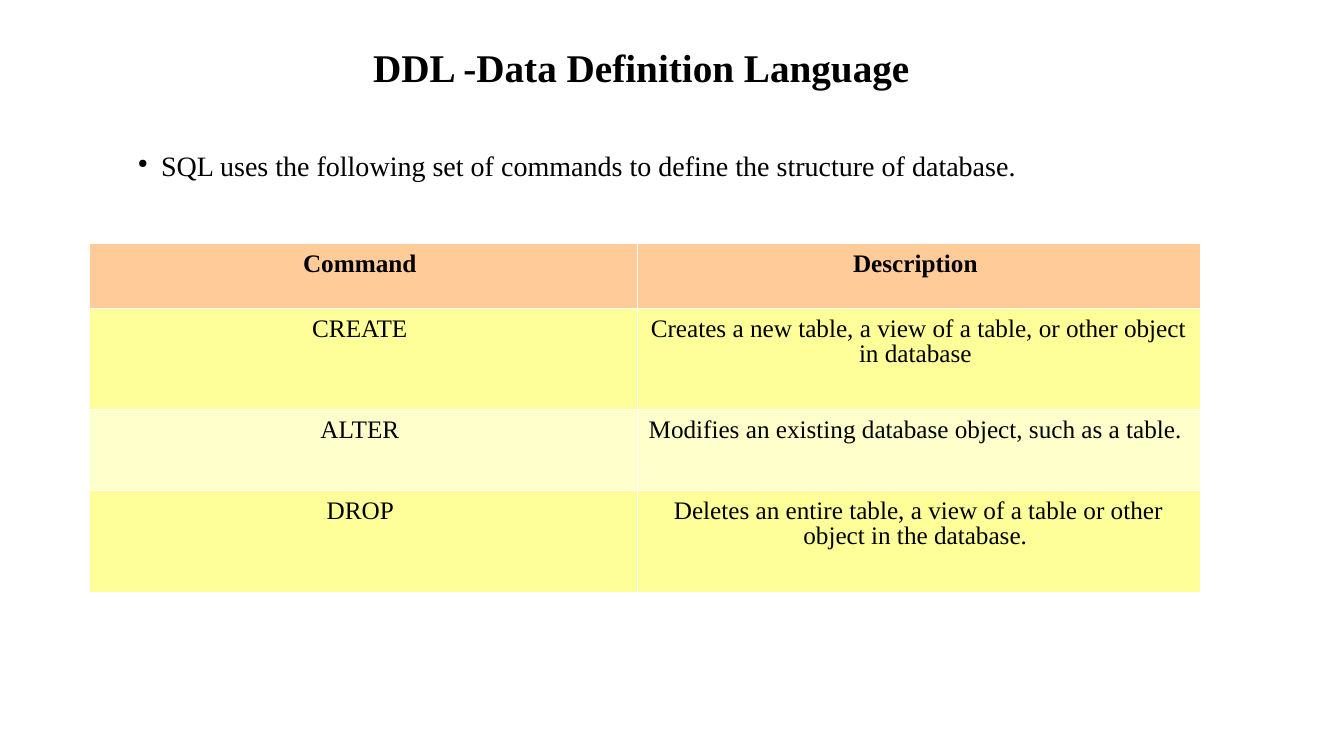
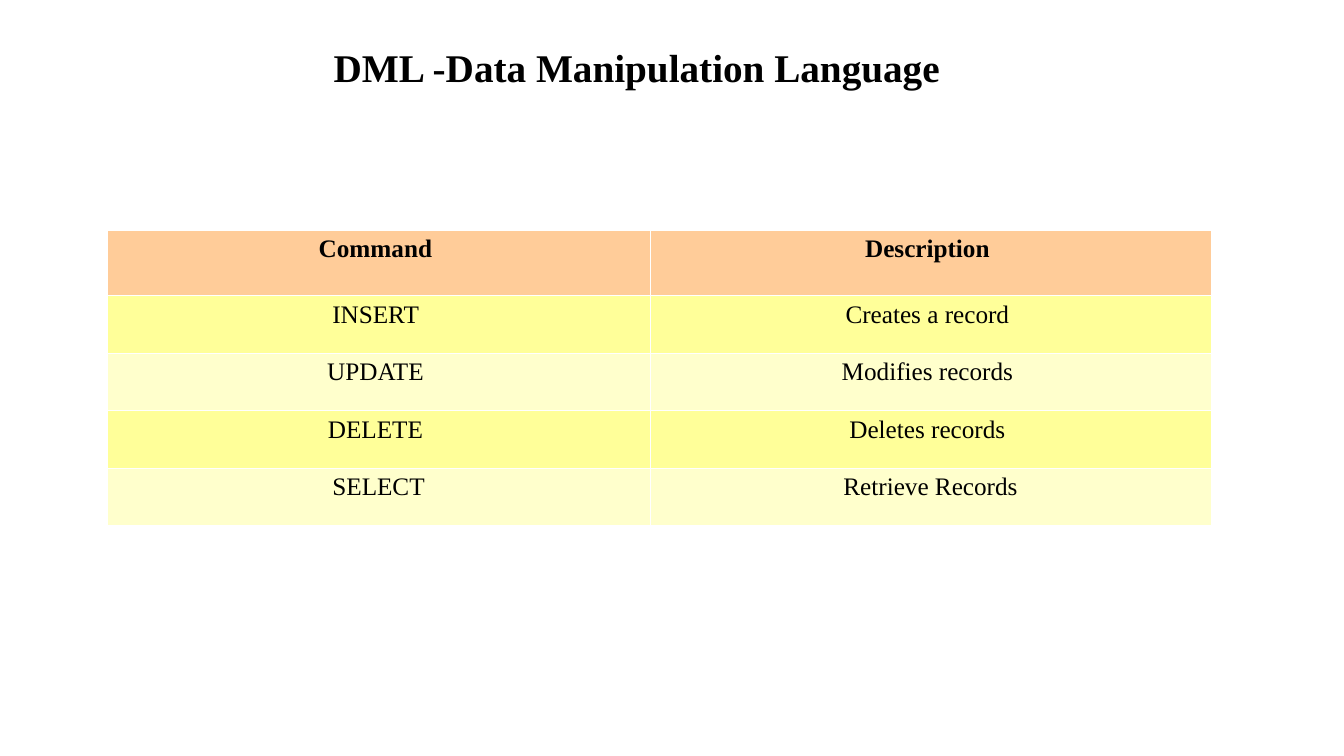
import pptx
import pptx.dml.color
import pptx.enum.text
import pptx.oxml
import pptx.oxml.ns
import pptx.util
from pptx.util import Inches

COLORS = {
    "text": "000000",
    "border": "FFFFFF",
    "header": "FFCC99",
    "odd": "FFFF99",
    "even": "FFFFCC",
}
FONT = "Times New Roman"
TITLE_FONT = {"name": FONT, "size": pptx.util.Pt(28), "bold": True}
BODY_FONT = {"name": FONT, "size": pptx.util.Pt(20), "bold": False}
HEADER_FONT = {"name": FONT, "size": pptx.util.Pt(18), "bold": True}
CELL_FONT = {**HEADER_FONT, "bold": False}

TITLE_FRAME = {
    "word_wrap": True,
    "auto_size": pptx.enum.text.MSO_AUTO_SIZE.NONE,
    "vertical_anchor": pptx.enum.text.MSO_ANCHOR.TOP,
}
LEFT_PARAGRAPH = {"alignment": pptx.enum.text.PP_ALIGN.LEFT}
CELL_PARAGRAPH = {
    "alignment": pptx.enum.text.PP_ALIGN.CENTER,
    "line_spacing": 0.9,
}
BULLET_PARAGRAPH = {
    **LEFT_PARAGRAPH,
    "space_before": pptx.util.Pt(5.9),
    "space_after": pptx.util.Pt(5.9),
}


def apply(target, values):
    for name, value in values.items():
        setattr(target, name, value)


def rgb(name):
    return pptx.dml.color.RGBColor.from_string(COLORS[name])


def append_xml(parent, xml):
    ns = pptx.oxml.ns.nsdecls("a")
    wrapper = pptx.oxml.parse_xml(f"<a:wrapper {ns}>{xml}</a:wrapper>")
    for element in list(wrapper):
        parent.append(element)


def write_text(tf, text, font, paragraph):
    p = tf.paragraphs[0]
    apply(p, paragraph)
    r = p.add_run()
    r.text = text
    apply(r.font, font)
    r.font.color.rgb = rgb("text")
    return p


def add_title(s, text, left, width):
    sp = s.shapes.title
    apply(sp, {"left": Inches(left), "top": Inches(0.38),
               "width": Inches(width), "height": Inches(0.9)})
    apply(sp.text_frame, TITLE_FRAME)
    write_text(sp.text_frame, text, TITLE_FONT, LEFT_PARAGRAPH)


def add_bullet(s, text, left, top, width, height):
    sp = s.shapes.add_textbox(*map(Inches, (left, top, width, height)))
    sp.text_frame.word_wrap = True
    p = write_text(sp.text_frame, text, BODY_FONT, BULLET_PARAGRAPH)
    pPr = p._p.get_or_add_pPr()
    pPr.set("marL", str(Inches(0.23)))
    pPr.set("indent", str(Inches(-0.23)))
    append_xml(pPr, f'<a:buClr><a:srgbClr val="{COLORS["text"]}"/></a:buClr>'
                    '<a:buSzPct val="45000"/><a:buChar char="●"/>')


def format_cell(cell, text, font, fill, border, margin_top):
    apply(cell, {"margin_left": Inches(0.1), "margin_right": Inches(0.1),
                 "margin_top": Inches(margin_top), "margin_bottom": Inches(0.05)})
    write_text(cell.text_frame, text, font, CELL_PARAGRAPH)
    tcPr = cell._tc.get_or_add_tcPr()
    for side in "LRTB":
        append_xml(tcPr, f'<a:ln{side} w="{pptx.util.Pt(border)}"><a:solidFill>'
                         f'<a:srgbClr val="{COLORS["border"]}"/>'
                         f'</a:solidFill></a:ln{side}>')
    cell.fill.solid()
    cell.fill.fore_color.rgb = rgb(fill)


def add_command_table(s, commands, left, top, widths, heights, border, margin_top):
    rows = [("Command ", "Description "), *commands]
    table = s.shapes.add_table(
        len(rows), len(widths), Inches(left), Inches(top),
        Inches(sum(widths)), Inches(sum(heights))).table
    table.horz_banding = False
    for column, width in zip(table.columns, widths):
        column.width = Inches(width)
    for i, (row, height, texts) in enumerate(zip(table.rows, heights, rows)):
        row.height = Inches(height)
        font = CELL_FONT if i else HEADER_FONT
        fill = ("odd" if i % 2 else "even") if i else "header"
        for cell, text in zip(row.cells, texts):
            format_cell(cell, text, font, fill, border, margin_top)


def add_slide(prs):
    return prs.slides.add_slide(prs.slide_layouts.get_by_name("Title Only"))


def add_ddl_slide(prs):
    s = add_slide(prs)
    add_command_table(s, [
        ("CREATE ", "Creates a new table, a view of a table, or other object in database "),
        ("ALTER ", "Modifies an existing database object, such as a table. "),
        ("DROP ", "Deletes an entire table, a view of a table or other object in the database. "),
    ], 0.88, 2.41, [5.44, 5.58], [0.65, 1, 0.8, 1.01], 0.11, 0.09)
    add_bullet(s, "SQL uses the following set of commands to define the structure of database.",
               1.27, 1.42, 9.42, 0.44)
    add_title(s, "DDL -Data Definition Language", 3.6, 6.13)


def add_dml_slide(prs):
    s = add_slide(prs)
    add_command_table(s, [
        ("INSERT ", "Creates a record "),
        ("UPDATE ", "Modifies records "),
        ("DELETE ", "Deletes records "),
        ("SELECT", "Retrieve Records"),
    ], 1.06, 2.28, [5.39, 5.56], [0.65] + [0.57] * 4, 0.06, 0.08)
    add_title(s, "DML -Data Manipulation Language", 3.21, 7.67)


def main():
    prs = pptx.Presentation()
    apply(prs, {"slide_width": Inches(13.33), "slide_height": Inches(7.5)})
    add_ddl_slide(prs)
    add_dml_slide(prs)
    prs.save("out.pptx")


if __name__ == "__main__":
    main()
